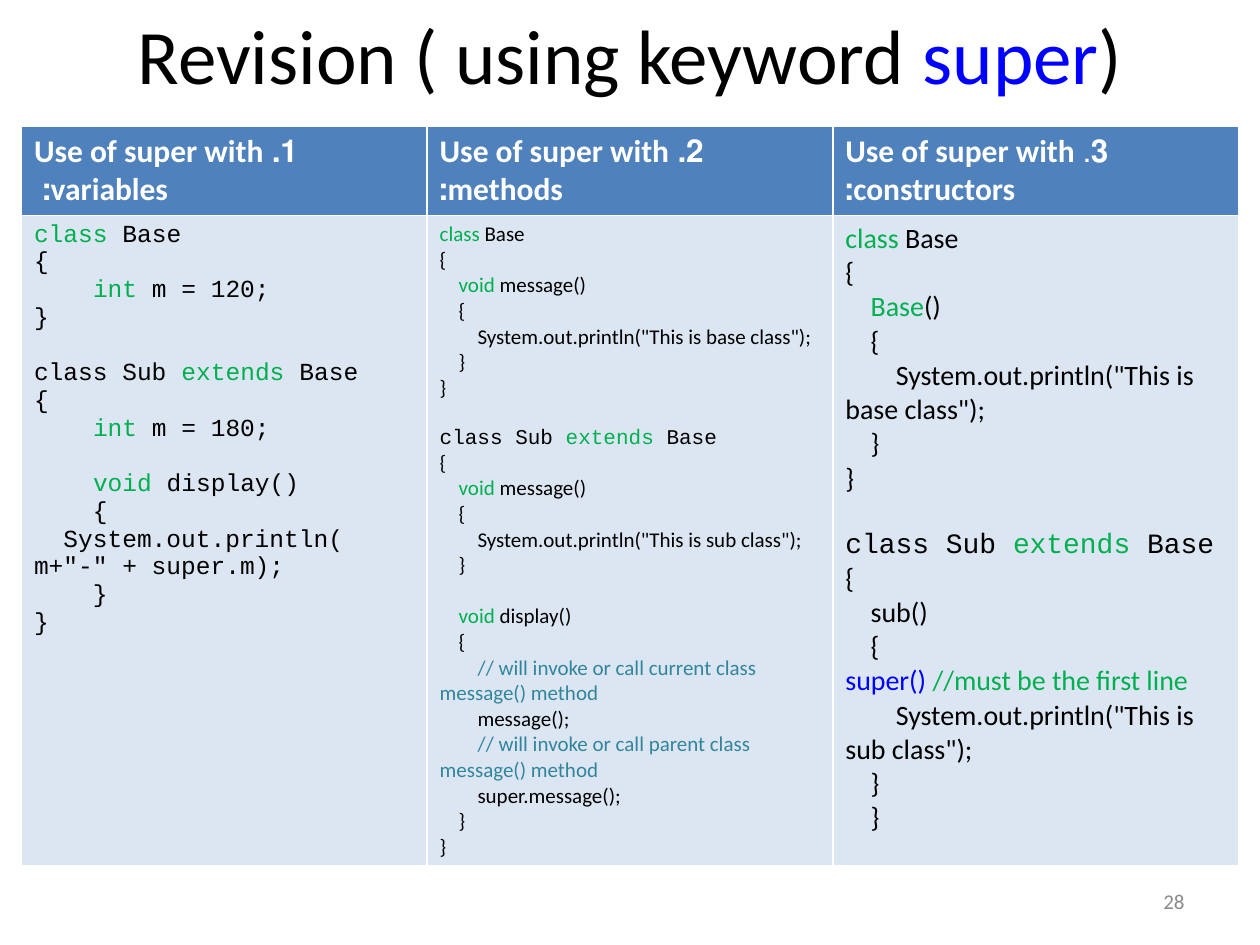
"""Build the revision slide on the keyword super."""
from pptx import Presentation
from pptx.dml.color import RGBColor
from pptx.enum.text import MSO_ANCHOR, PP_ALIGN
from pptx.util import Inches, Pt

SANS, MONO = "Calibri", "Courier New"
TONES = {"g": "00B050", "b": "0000FF", "t": "31859C", "": "000000"}
TITLE = "Revision ( using keyword |super@b|)"
HEADS = [
    [("1. Use of super with variables: ", True)],
    [("2. Use of super with methods:", True)],
    [("3", True), (". ", False), ("Use of super with constructors:", True)],
]
FIELDS = """class @g|Base
{
    |int@g| m = 120;
}
  
class Sub |extends@g| Base
{
    |int@g| m = 180;
  
    |void@g| display()
    {
  System.out.println(
m+"-" + super.m);
    }
}"""
METHODS = """class@g| Base
{
    |void@g| message()
    {
        System.out.println("This is base class");
    }
}
  
class Sub |extends@g| Base
{
    |void @g|message()
    {
        System.out.println("This is sub class");
    }
  
    |void @g|display()
    {
        |// will invoke or call current class message() method@t
        message();
        |// will invoke or call parent class message() method@t
        super.message();
    }
}"""
BUILDS = """class@g| Base
{
    |Base@g|()
    {
        System.out.println("This is base class");
    }
}
  
class Sub |extends@g| Base
{
    sub()
    {
super() @b|//must be the first line@g
        System.out.println("This is sub class");
    }
    }"""
CODES = [(FIELDS, 14, MONO), (METHODS, 12, SANS), (BUILDS, 16, SANS)]


def paint(item, tone):
    item.fill.solid()
    item.fill.fore_color.rgb = RGBColor.from_string(tone)


def write(para, text, tone, **form):
    run = para.add_run()
    run.text = text
    for key, value in form.items():
        setattr(run.font, key, value)
    paint(run.font, tone)


def fill_line(para, line, size, face):
    for part in line.split("|"):
        text, _, key = part.partition("@")
        write(para, text, TONES[key], size=Pt(size), name=face)


def fill_head(cell, parts):
    paint(cell, "4F81BD")
    para = cell.text_frame.paragraphs[0]
    para.alignment = PP_ALIGN.LEFT
    para._p.get_or_add_pPr().set("rtl", "1")
    for text, bold in parts:
        write(para, text, "FFFFFF", size=Pt(18), name=SANS, bold=bold)


def fill_code(cell, code, size, face):
    paint(cell, "DCE6F2")
    frame = cell.text_frame
    for row, line in enumerate(code.split("\n")):
        para = frame.add_paragraph() if row else frame.paragraphs[0]
        font = MONO if line.startswith("class Sub") else face
        fill_line(para, line, size, font)


def place(shape, *box):
    for key, value in zip(("left", "top", "width", "height"), box):
        setattr(shape, key, Inches(value))


def main():
    deck = Presentation()
    deck.slide_width, deck.slide_height = Inches(10), Inches(7.5)
    slide = deck.slides.add_slide(deck.slide_layouts[5])
    title = slide.shapes.title
    place(title, 0.5, 0.08, 9, 0.7)
    title.text_frame.vertical_anchor = MSO_ANCHOR.MIDDLE
    para = title.text_frame.paragraphs[0]
    para.alignment = PP_ALIGN.CENTER
    fill_line(para, TITLE, 44, SANS)

    box = [Inches(v) for v in (0.17, 1, 9.66, 5.8)]
    table = slide.shapes.add_table(2, len(HEADS), *box).table
    for row, high in zip(table.rows, (0.7, 5.1)):
        row.height = Inches(high)
    for col, (head, code) in enumerate(zip(HEADS, CODES)):
        fill_head(table.cell(0, col), head)
        fill_code(table.cell(1, col), *code)

    box = [Inches(v) for v in (7.17, 6.95, 2.33, 0.4)]
    frame = slide.shapes.add_textbox(*box).text_frame
    frame.word_wrap = True
    frame.vertical_anchor = MSO_ANCHOR.MIDDLE
    para = frame.paragraphs[0]
    para.alignment = PP_ALIGN.RIGHT
    write(para, "28", "898989", size=Pt(12), name=SANS)
    deck.save("out.pptx")


if __name__ == "__main__":
    main()
